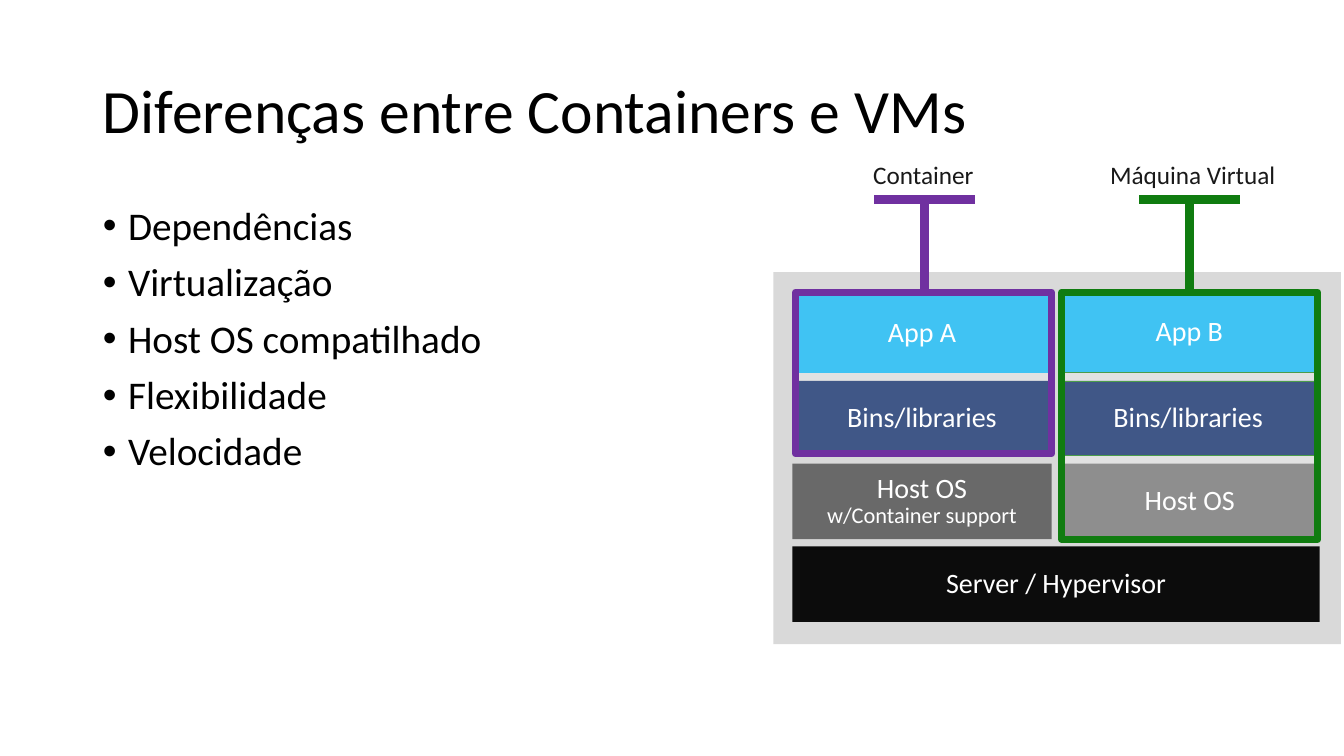
from dataclasses import dataclass

from lxml.etree import SubElement
from pptx import Presentation
from pptx.dml.color import RGBColor
from pptx.enum.shapes import MSO_CONNECTOR as Link, MSO_SHAPE as Preset
from pptx.enum.text import MSO_ANCHOR as Anchor, MSO_AUTO_SIZE as Fit, PP_ALIGN as Align
from pptx.oxml.ns import qn
from pptx.util import Inches, Pt

FONT = "Calibri"
BLACK = RGBColor(0x00, 0x00, 0x00)
WHITE = RGBColor(0xFF, 0xFF, 0xFF)
INK = RGBColor(0x19, 0x19, 0x19)
PANEL = RGBColor(0xD9, 0xD9, 0xD9)
SKY = RGBColor(0x00, 0xB0, 0xF0)
NAVY = RGBColor(0x00, 0x20, 0x60)
GREY = RGBColor(0x69, 0x69, 0x69)
COAL = RGBColor(0x0C, 0x0C, 0x0C)
PURPLE = RGBColor(0x70, 0x30, 0xA0)
GREEN = RGBColor(0x10, 0x7C, 0x10)


@dataclass(frozen=True)
class Box:
    left: float
    top: float
    width: float
    height: float

    def place(self) -> tuple:
        return tuple(Inches(n) for n in (self.left, self.top, self.width, self.height))


@dataclass(frozen=True)
class Layer:
    box: Box
    fill: RGBColor
    text: str
    note: str = ""
    edge: RGBColor | None = None


@dataclass(frozen=True)
class Stack:
    layers: tuple[Layer, ...]
    frame: Box
    label: str
    tag: Box
    stem: float
    color: RGBColor


TOPICS = ("Dependências", "Virtualização", "Host OS compatilhado",
          "Flexibilidade", "Velocidade")
BINS = "Bins/libraries"
BASE = Layer(Box(7.86, 5.42, 5.23, 0.75), COAL, "Server / Hypervisor")
STACKS = (
    Stack((Layer(Box(7.87, 2.92, 2.55, 0.78), SKY, "App A"),
           Layer(Box(7.87, 3.78, 2.55, 0.74), NAVY, BINS),
           Layer(Box(7.86, 4.6, 2.57, 0.75), GREY, "Host OS", "w/Container support")),
          Box(7.89, 2.9, 2.54, 1.6), "Container",
          Box(8.46, 1.48, 1.49, 0.6), 9.17, PURPLE),
    Stack((Layer(Box(10.51, 3.78, 2.55, 0.74), NAVY, BINS, edge=GREEN),
           Layer(Box(10.52, 2.91, 2.55, 0.78), SKY, "App B", edge=GREEN),
           Layer(Box(10.51, 4.6, 2.58, 0.75), GREY, "Host OS")),
          Box(10.53, 2.9, 2.54, 2.45), "Máquina Virtual",
          Box(10.81, 1.48, 2.06, 0.6), 11.8, GREEN),
)


def add_run(para, text: str, size: float, color: RGBColor) -> None:
    run = para.add_run()
    run.text = text
    run.font.name = FONT
    run.font.size = Pt(size)
    run.font.color.rgb = color


def set_pad(frame) -> None:
    frame.margin_left = frame.margin_right = Inches(0.2)
    frame.margin_top = frame.margin_bottom = Inches(0.16)


def move(holder, box: Box) -> None:
    holder.left, holder.top, holder.width, holder.height = box.place()
    holder.text_frame.auto_size = Fit.NONE


def add_rect(slide, box: Box, fill: RGBColor, edge: RGBColor | None = None,
             weight: float = 0.5):
    rect = slide.shapes.add_shape(Preset.RECTANGLE, *box.place())
    rect.shadow.inherit = False
    rect.fill.solid()
    rect.fill.fore_color.rgb = fill
    if edge is None:
        rect.line.fill.background()
    else:
        rect.line.color.rgb = edge
        rect.line.width = Pt(weight)
    return rect


def add_layer(slide, layer: Layer) -> None:
    rect = add_rect(slide, layer.box, layer.fill, layer.edge)
    frame = rect.text_frame
    frame.word_wrap = True
    frame.vertical_anchor = Anchor.MIDDLE
    set_pad(frame)
    para = frame.paragraphs[0]
    para.alignment = Align.CENTER
    para.line_spacing = 0.9
    add_run(para, layer.text, 20, WHITE)
    if layer.note:
        para.add_line_break()
        add_run(para, layer.note, 16, WHITE)


def add_veil(slide, box: Box, color: RGBColor) -> None:
    rect = add_rect(slide, box, WHITE, color, 5.25)
    tint = rect.fill._xPr.find(qn("a:solidFill"))[0]
    SubElement(tint, qn("a:alpha")).set("val", "25000")


def add_bar(slide, x1: float, y1: float, x2: float, y2: float, color: RGBColor) -> None:
    bar = slide.shapes.add_connector(
        Link.STRAIGHT, Inches(x1), Inches(y1), Inches(x2), Inches(y2))
    bar.line.color.rgb = color
    bar.line.width = Pt(6.25)
    SubElement(bar._element.spPr, qn("a:effectLst"))


def add_tag(slide, stack: Stack) -> None:
    frame = slide.shapes.add_textbox(*stack.tag.place()).text_frame
    frame.word_wrap = False
    frame.auto_size = Fit.SHAPE_TO_FIT_TEXT
    set_pad(frame)
    para = frame.paragraphs[0]
    para.line_spacing = 0.9
    para.space_after = Pt(6)
    add_run(para, stack.label, 18, INK)
    add_bar(slide, stack.stem, 1.94, stack.stem, 2.89, stack.color)
    add_bar(slide, stack.stem - 0.5, 1.98, stack.stem + 0.5, 1.98, stack.color)


def add_copy(slide) -> None:
    # Title
    title = slide.shapes.title
    move(title, Box(0.92, 0.4, 11.5, 1.45))
    title.text_frame.vertical_anchor = Anchor.MIDDLE
    head = title.text_frame.paragraphs[0]
    head.alignment = Align.LEFT
    head.line_spacing = 0.9
    add_run(head, "Diferenças entre Containers e VMs", 44, BLACK)

    # Topic list
    body = slide.placeholders[1]
    move(body, Box(0.92, 2, 6.46, 4.76))
    frame = body.text_frame
    for i, topic in enumerate(TOPICS):
        para = frame.add_paragraph() if i else frame.paragraphs[0]
        para.line_spacing = 0.9
        para.space_before = Pt(10)
        props = para._p.get_or_add_pPr()
        props.set("marL", str(Inches(0.25)))
        props.set("indent", str(Inches(-0.25)))
        add_run(para, topic, 28, BLACK)


def main() -> None:
    deck = Presentation()
    deck.slide_width, deck.slide_height = Inches(13.33), Inches(7.5)
    slide = deck.slides.add_slide(deck.slide_layouts[1])
    add_copy(slide)

    # Diagram
    add_rect(slide, Box(7.67, 2.7, 5.63, 3.69), PANEL)
    add_layer(slide, BASE)
    for stack in STACKS:
        for layer in stack.layers:
            add_layer(slide, layer)
        add_tag(slide, stack)
        add_veil(slide, stack.frame, stack.color)
    deck.save("out.pptx")


if __name__ == "__main__":
    main()
